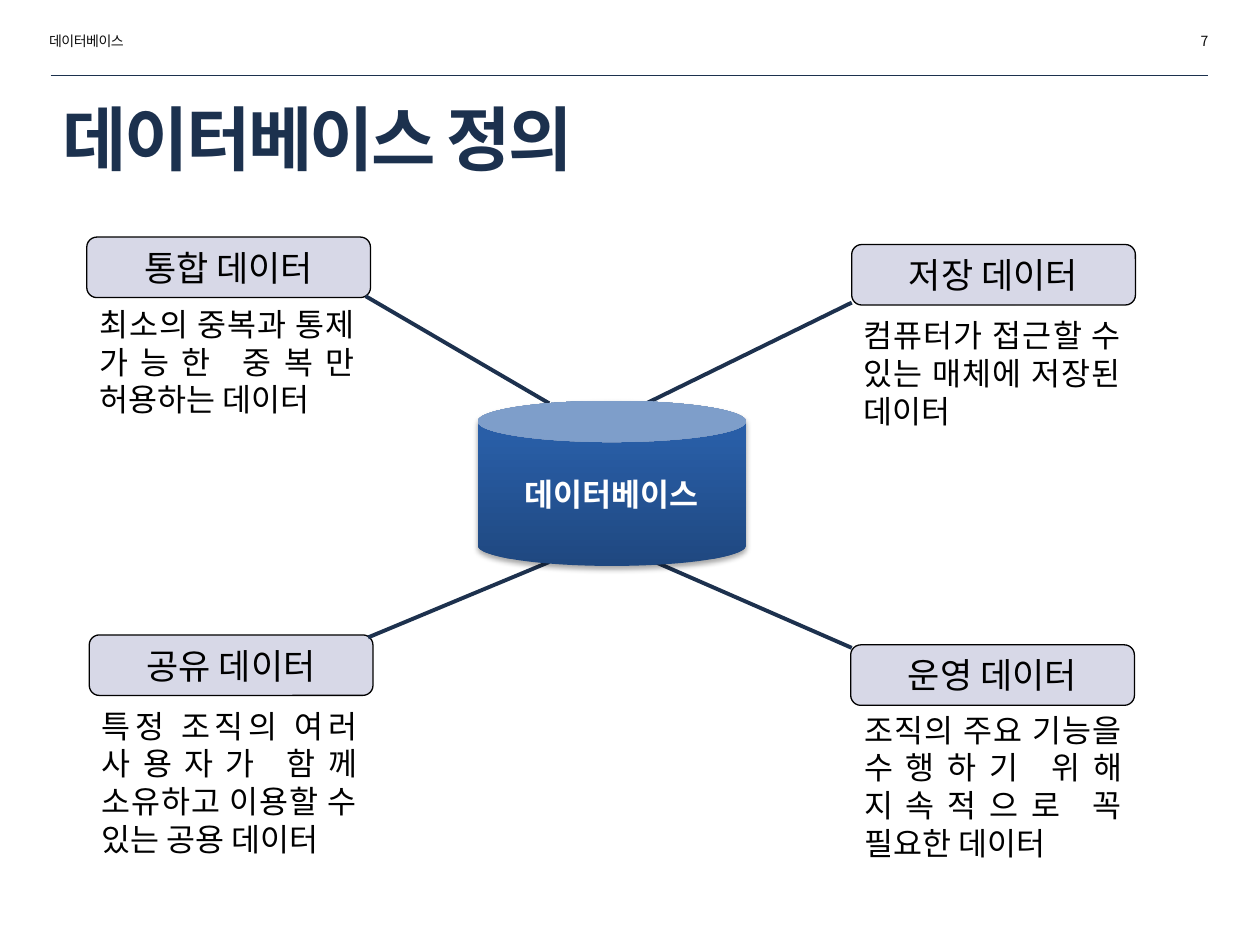
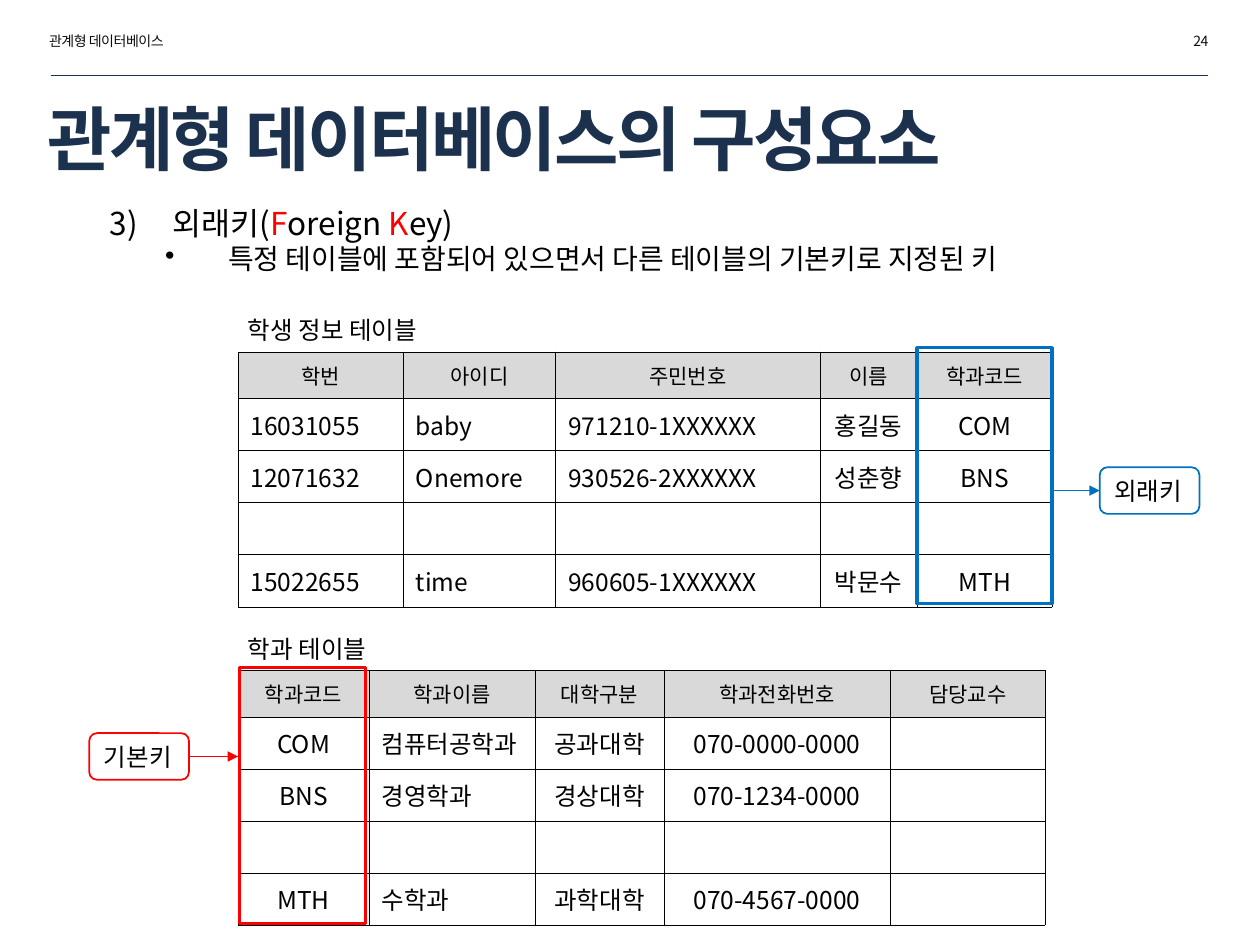
"""Build two database lecture slides: the definition and the foreign key."""
from copy import deepcopy
from dataclasses import dataclass
from typing import NamedTuple, Optional

from lxml import etree
from pptx import Presentation
from pptx import util as u
from pptx.dml import color as dc
from pptx.enum import shapes as sh
from pptx.enum import text as tx
from pptx.oxml import ns

FONT = "Noto Sans CJK KR"
INK = {
    "head": "0D0D0D", "navy": "1C314E", "black": "000000", "white": "FFFFFF",
    "tag": "D7D8E7", "spoke": "1D314E", "red": "FF0000", "blue": "0070C0",
    "gray": "D9D9D9",
}
DRUM = [(0, "1F4880"), (0.8, "295EA7"), (1, "265EAA")]
LEFT, MID, RIGHT, FULL = (tx.PP_ALIGN.LEFT, tx.PP_ALIGN.CENTER,
                          tx.PP_ALIGN.RIGHT, tx.PP_ALIGN.JUSTIFY)
SIDE = {"l": LEFT, "c": MID}
HEAD_ROW, ROW = 0.94, 1.05


class Box(NamedTuple):
    left: float
    top: float
    width: float
    height: float

    def place(self) -> list:
        return [u.Cm(side) for side in self]


class Line(NamedTuple):
    x1: float
    y1: float
    x2: float
    y2: float


@dataclass
class Style:
    size: float
    ink: str = "black"
    bold: bool = False
    track: int = 0
    align: int = LEFT
    middle: bool = False
    grow: bool = True


@dataclass
class Topic:
    name: str
    tag: Box
    note: Box
    words: str
    spoke: Line


@dataclass
class Grid:
    title: str
    top: float
    cols: list
    sides: str
    rows: list


@dataclass
class Key:
    name: str
    ink: str
    frame: Box
    label: Box
    side: int
    edge: float


HEAD = Style(8, "head", track=-30)
PAGE = Style(8, "head", track=-30, align=RIGHT)
TITLE = Style(40, "navy", True, -150, middle=True, grow=False)
TAG = Style(20, align=MID)
NOTE = Style(18, align=FULL)
CORE = Style(18, "white", True, align=MID, middle=True, grow=False)
SMALL = Style(14)

TOPICS = [
    Topic("저장 데이터", Box(17.17, 4.93, 5.72, 1.22), Box(17.15, 6.25, 5.7, 2.57),
          "컴퓨터가 접근할 수 있는 매체에 저장된 데이터", Line(13.03, 8.13, 17.17, 6.1)),
    Topic("운영 데이터", Box(17.15, 13, 5.72, 1.22), Box(17.17, 14.2, 5.7, 3.33),
          "조직의 주요 기능을 수행하기 위해 지속적으로 꼭 필요한 데이터",
          Line(13.21, 11.33, 17.17, 13.06)),
    Topic("공유 데이터", Box(1.8, 12.8, 5.72, 1.22), Box(1.8, 14.12, 5.65, 3.33),
          "특정 조직의 여러 사용자가 함께 소유하고 이용할 수 있는 공용 데이터",
          Line(7.42, 12.85, 11.07, 11.33)),
    Topic("통합 데이터", Box(1.75, 4.78, 5.72, 1.22), Box(1.75, 6.02, 5.65, 2.57),
          "최소의 중복과 통제 가능한 중복만 허용하는 데이터", Line(7.37, 5.97, 11.07, 8.13)),
]
GRIDS = [
    Grid("학생 정보 테이블", 7.09, [3.33, 3.07, 5.33, 1.96, 2.72], "lllcc", [
        ["학번", "아이디", "주민번호", "이름", "학과코드"],
        ["16031055", "baby", "971210-1XXXXXX", "홍길동", "COM"],
        ["12071632", "Onemore", "930526-2XXXXXX", "성춘향", "BNS"],
        [""] * 5,
        ["15022655", "time", "960605-1XXXXXX", "박문수", "MTH"]]),
    Grid("학과 테이블", 13.51, [2.64, 3.35, 2.59, 4.57, 3.12], "clccc", [
        ["학과코드", "학과이름", "대학구분", "학과전화번호", "담당교수"],
        ["COM", "컴퓨터공학과", "공과대학", "070-0000-0000", ""],
        ["BNS", "경영학과", "경상대학", "070-1234-0000", ""],
        [""] * 5,
        ["MTH", "수학과", "과학대학", "070-4567-0000", ""]]),
]
KEYS = [
    Key("기본키", "red", Box(4.83, 13.46, 2.54, 5.16), Box(1.8, 14.78, 2.01, 0.94), 3, 4.8),
    Key("외래키", "blue", Box(18.49, 7.01, 2.72, 5.16), Box(22.17, 9.42, 2.01, 0.94), 1, 21.21),
]


def rgb(ink: str) -> dc.RGBColor:
    return dc.RGBColor.from_string(INK.get(ink, ink))


def add(node, name: str, **attrs: str):
    return etree.SubElement(node, ns.qn(name), attrs)


def dress(run, style: Style) -> None:
    font = run.font
    font.size, font.bold = u.Pt(style.size), style.bold
    font.color.rgb = rgb(style.ink)
    font.name = FONT
    prop = font._element
    if style.track:
        prop.set("spc", str(style.track))
    add(prop, "a:ea", typeface=FONT)


def fill_in(shape, words: str, style: Style) -> None:
    frame = shape.text_frame
    frame.text = words
    frame.word_wrap = True
    frame.auto_size = (tx.MSO_AUTO_SIZE.SHAPE_TO_FIT_TEXT if style.grow
                       else tx.MSO_AUTO_SIZE.NONE)
    frame.vertical_anchor = (tx.MSO_ANCHOR.MIDDLE if style.middle
                             else tx.MSO_ANCHOR.TOP)
    para = frame.paragraphs[0]
    para.alignment = style.align
    for run in para.runs:
        dress(run, style)


def write(slide, box: Box, words: str, style: Style) -> None:
    fill_in(slide.shapes.add_textbox(*box.place()), words, style)


def draw(slide, kind: int, box: Box, fill: Optional[str] = None,
         edge: Optional[str] = None, width: float = 1):
    shape = slide.shapes.add_shape(kind, *box.place())
    shape.shadow.inherit = False
    if fill:
        shape.fill.solid()
        shape.fill.fore_color.rgb = rgb(fill)
    else:
        shape.fill.background()
    if edge:
        shape.line.color.rgb = rgb(edge)
        shape.line.width = u.Pt(width)
    else:
        shape.line.fill.background()
    return shape


def link(slide, line: Line, ink: str, width: float, arrow: bool = False):
    wire = slide.shapes.add_connector(sh.MSO_CONNECTOR.STRAIGHT,
                                      *[u.Cm(end) for end in line])
    wire.line.color.rgb = rgb(ink)
    wire.line.width = u.Pt(width)
    prop = wire._element.spPr
    if arrow:
        add(prop.find(ns.qn("a:ln")), "a:tailEnd", type="triangle")
    add(prop, "a:effectLst")
    return wire


def start(deck, topic: str, page: int, title: str, box: Box):
    slide = deck.slides.add_slide(deck.slide_layouts[6])
    write(slide, Box(0.74, 0.53, 4.39, 0.61), topic, HEAD)
    link(slide, Line(1.02, 1.52, 24.36, 1.52), "navy", 0.25)
    write(slide, box, title, TITLE)
    write(slide, Box(20.22, 0.53, 4.39, 0.61), str(page), PAGE)
    return slide


def draw_drum(slide) -> None:
    drum = draw(slide, sh.MSO_SHAPE.CAN, Box(9.63, 8.08, 5.41, 3.33))
    drum.fill.gradient()
    drum.fill.gradient_angle = 90
    prop = drum._element.spPr
    stops = prop.find(".//" + ns.qn("a:gsLst"))
    stops.append(deepcopy(stops[0]))
    for stop, (spot, ink) in zip(drum.fill.gradient_stops, DRUM):
        stop.position = spot
        stop.color.rgb = rgb(ink)
    shade = add(prop.find(ns.qn("a:effectLst")), "a:outerShdw", blurRad="39370",
                dist="22860", dir="5400000", rotWithShape="0")
    add(add(shade, "a:srgbClr", val=INK["black"]), "a:alpha", val="35000")
    fill_in(drum, "데이터베이스", CORE)


def draw_grid(slide, grid: Grid) -> None:
    write(slide, Box(4.75, grid.top - 0.86, 5.31, 0.86), grid.title, SMALL)
    box = Box(4.8, grid.top, sum(grid.cols), HEAD_ROW + ROW * (len(grid.rows) - 1))
    table = slide.shapes.add_table(len(grid.rows), len(grid.cols), *box.place()).table
    table.first_row = table.horz_banding = False
    for col, width in zip(table.columns, grid.cols):
        col.width = u.Cm(width)
    for i, row in enumerate(grid.rows):
        table.rows[i].height = u.Cm(ROW if i else HEAD_ROW)
        for j, words in enumerate(row):
            fill_cell(table.cell(i, j), words, i == 0, SIDE[grid.sides[j]])


def fill_cell(cell, words: str, top: bool, align: int) -> None:
    cell.text = words
    cell.vertical_anchor = tx.MSO_ANCHOR.MIDDLE
    para = cell.text_frame.paragraphs[0]
    para.alignment = MID if top else align
    for run in para.runs:
        dress(run, Style(12 if top else 14))
    if not words:
        add(para._p, "a:endParaRPr", sz="1400")
    prop = cell._tc.get_or_add_tcPr()
    for side in "LRTB":
        rule = add(prop, f"a:ln{side}", w=str(u.Pt(0.25)))
        add(add(rule, "a:solidFill"), "a:srgbClr", val=INK["black"])
    if top:
        cell.fill.solid()
        cell.fill.fore_color.rgb = rgb("gray")
    else:
        cell.fill.background()


def draw_key(slide, key: Key) -> None:
    label = draw(slide, sh.MSO_SHAPE.ROUNDED_RECTANGLE, key.label, edge=key.ink)
    fill_in(label, key.name, SMALL)
    box = key.label
    y = box.top + box.height / 2
    if key.side == 3:
        wire = link(slide, Line(box.left + box.width, y, key.edge, y), key.ink, 0.75, True)
        wire.begin_connect(label, key.side)
    else:
        wire = link(slide, Line(key.edge, y, box.left, y), key.ink, 0.75, True)
        wire.end_connect(label, key.side)


def list_points(slide) -> None:
    frame = slide.shapes.add_textbox(*Box(0.84, 3.99, 24.18, 13.34).place()).text_frame
    frame.word_wrap = True
    term = [("외래키(", "black"), ("F", "red"), ("oreign ", "black"),
            ("K", "red"), ("ey)", "black")]
    gist = [("특정 테이블에 포함되어 있으면서 다른 테이블의 기본키로 지정된 키", "black")]
    number = ("a:buAutoNum", {"type": "arabicParenR", "startAt": "3"})
    dot = ("a:buChar", {"char": "•"})
    points = [(term, 18, 2.39, number), (gist, 16, 3.51, dot)]
    for i, (parts, size, edge, (mark, attrs)) in enumerate(points):
        para = frame.add_paragraph() if i else frame.paragraphs[0]
        para.level = i + 1
        prop = para._p.get_or_add_pPr()
        prop.set("marL", str(u.Cm(edge)))
        prop.set("indent", str(u.Cm(-1.27)))
        add(prop, mark, **attrs)
        for words, ink in parts:
            run = para.add_run()
            run.text = words
            dress(run, Style(size, ink))


def show_terms(deck) -> None:
    slide = start(deck, "데이터베이스", 7, "데이터베이스 정의", Box(1.02, 1.96, 23.34, 1.63))
    for topic in TOPICS:
        tag = draw(slide, sh.MSO_SHAPE.ROUNDED_RECTANGLE, topic.tag, "tag", "black", 0.75)
        fill_in(tag, topic.name, TAG)
    for topic in TOPICS:
        link(slide, topic.spoke, "spoke", 2.25)
        write(slide, topic.note, topic.words, NOTE)
    draw_drum(slide)


def show_keys(deck) -> None:
    slide = start(deck, "관계형 데이터베이스", 24, "관계형 데이터베이스의 구성요소",
                  Box(0.71, 1.96, 19.43, 1.63))
    list_points(slide)
    for grid in GRIDS:
        draw_grid(slide, grid)
    for key in KEYS:
        draw(slide, sh.MSO_SHAPE.RECTANGLE, key.frame, edge=key.ink, width=2)
        draw_key(slide, key)


def main() -> None:
    deck = Presentation()
    deck.slide_width, deck.slide_height = u.Cm(25.4), u.Cm(19.05)
    show_terms(deck)
    show_keys(deck)
    deck.save("out.pptx")


if __name__ == "__main__":
    main()
